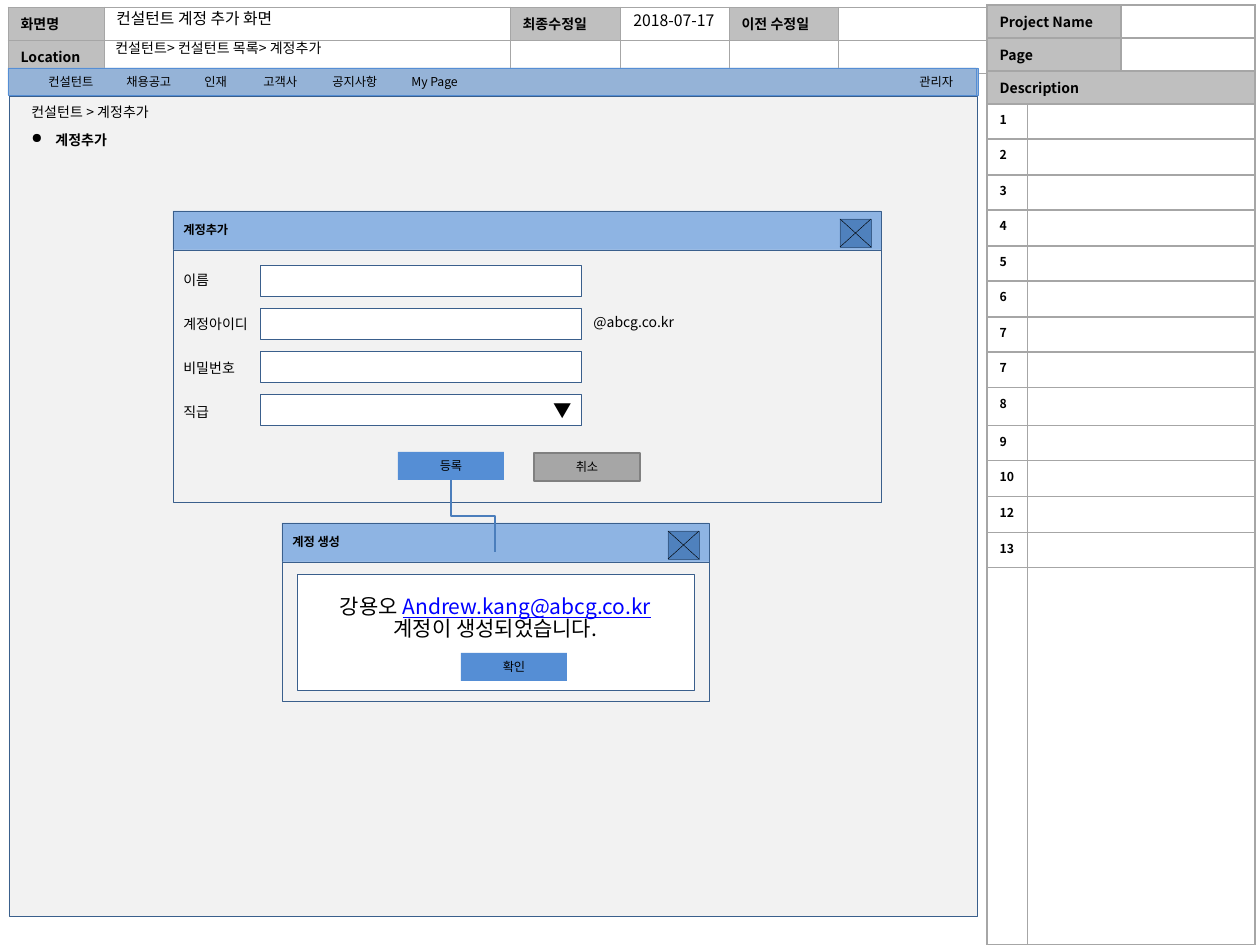
from dataclasses import dataclass

from lxml.etree import SubElement as Sub
from pptx import Presentation
from pptx.dml.color import RGBColor as RGB
from pptx.enum.shapes import MSO_CONNECTOR as LINK, MSO_SHAPE as SHAPE
from pptx.enum.text import MSO_ANCHOR as ANCHOR, PP_ALIGN as ALIGN
from pptx.oxml.ns import qn
from pptx.util import Emu, Pt


@dataclass(frozen=True)
class Theme:
    face: str = "Noto Sans CJK KR"
    ink: str = "000000"
    white: str = "FFFFFF"
    grid: str = "A6A6A6"
    head: str = "BFBFBF"
    edge: str = "3A5F8C"
    bar: str = "95B3D7"
    rim: str = "558ED5"
    panel: str = "F2F2F2"
    title: str = "8EB4E3"
    close: str = "4F81BD"
    mute: str = "808080"
    flow: str = "4B7EBC"
    link: str = "0000FF"
    tiny: float = 7
    small: float = 8
    mid: float = 9
    mark: float = 10.5
    big: float = 12
    hair: float = 0.25
    thin: float = 0.5
    line: float = 0.75
    wide: float = 1


T = Theme()


def px(n):
    return Emu(round(n * 914400 / 126))


def style(para, size, bold=False):
    font = para.font
    font.size, font.bold, font.name = Pt(size), bold, T.face
    font.color.rgb = RGB.from_string(T.ink)
    Sub(font._element, qn("a:ea"), typeface=T.face)


def label(page, box, text, size=T.small, bold=False):
    frame = page.shapes.add_textbox(*map(px, box)).text_frame
    frame.word_wrap = True
    para = frame.paragraphs[0]
    para.text = text
    style(para, size, bold)
    return para


def rect(page, box, fill, edge=T.edge, width=T.hair):
    shape = page.shapes.add_shape(SHAPE.RECTANGLE, *map(px, box))
    shape.shadow.inherit = False
    shape.fill.solid()
    shape.fill.fore_color.rgb = RGB.from_string(fill)
    if edge:
        shape.line.color.rgb = RGB.from_string(edge)
        shape.line.width = Pt(width)
    else:
        shape.line.fill.background()
    return shape


def link(page, ends, kind=LINK.STRAIGHT, color=T.ink, width=T.hair):
    line = page.shapes.add_connector(kind, *map(px, ends))
    line.line.color.rgb = RGB.from_string(color)
    line.line.width = Pt(width)
    Sub(line._element.spPr, qn("a:effectLst"))
    return line


def button(page, box, text, fill=T.rim, edge=None):
    shape = rect(page, box, fill, edge, T.line)
    para = shape.text_frame.paragraphs[0]
    para.text, para.alignment = text, ALIGN.CENTER
    style(para, T.tiny)


def paint(cell, fill, text="", size=T.small, **widths):
    """Fill a cell, write its text and draw its borders (L, R, T, B in points)."""
    cell.fill.solid()
    cell.fill.fore_color.rgb = RGB.from_string(fill)
    para = cell.text_frame.paragraphs[0]
    para.text = text
    style(para, size, True)
    if not text:
        para._p.get_or_add_endParaRPr().set("sz", str(int(size * 100)))
    props = cell._tc.get_or_add_tcPr()
    for spot, side in enumerate("LRTB"):
        line = Sub(props, qn("a:ln" + side), w=str(Pt(widths[side])))
        Sub(Sub(line, qn("a:solidFill")), qn("a:srgbClr"), val=T.grid)
        props.insert(spot, line)


def grid(page, left, top, cols, rows):
    box = left, top, sum(cols), sum(rows)
    table = page.shapes.add_table(len(rows), len(cols), *map(px, box)).table
    table.first_row = table.horz_banding = False
    for col, size in zip(table.columns, cols):
        col.width = px(size)
    for row, size in zip(table.rows, rows):
        row.height = px(size)
    return table


def header(page, left, top):
    table = grid(page, left, top, [96, 406, 110, 109, 109, 149], [33, 33])
    heads = {(0, 0): "화면명", (0, 2): "최종수정일", (0, 4): "이전 수정일", (1, 0): "Location"}
    for r in range(2):
        for c in range(6):
            text = heads.get((r, c), "")
            paint(table.cell(r, c), T.head if text else T.white, text,
                  **dict.fromkeys("LRTB", T.thin))
    label(page, (left + 96, top - 4, 387, 32), "컨설턴트 계정 추가 화면", T.mid)
    label(page, (left + 613, top - 2, 118, 32), "2018-07-17", T.mid)
    label(page, (left + 95, top + 26, 326, 30), "컨설턴트> 컨설턴트 목록> 계정추가")


def notes(page, left, top, bottom):
    """Project block and numbered description list down the right side."""
    marks = "1 2 3 4 5 6 7 7 8 9 10 12 13".split() + [""]
    rows = [33] * 3 + [35, 36] * 4 + [38, 35, 36, 36, 35]
    rows.append(bottom - top - sum(rows))
    table = grid(page, left, top, [40, 94, 134], rows)
    full = dict.fromkeys("LRTB", T.wide)
    for r, text in enumerate(["Project Name", "Page", "Description"]):
        last = 2 if text == "Description" else 1
        table.cell(r, 0).merge(table.cell(r, last))
        paint(table.cell(r, 0), T.head, text, **full)
        if last == 1:
            paint(table.cell(r, 2), T.white, **full)
    for r, text in enumerate(marks, 3):
        table.cell(r, 1).merge(table.cell(r, 2))
        paint(table.cell(r, 0), T.white, text, T.tiny, **{**full, "R": T.thin})
        paint(table.cell(r, 1), T.white, size=T.tiny, **{**full, "L": T.thin})


def menu(page, left, top):
    for shift in (2, 0):
        rect(page, (left + shift, top, 968, 27), T.bar, T.rim)
    items = {"컨설턴트": 28, "채용공고": 106, "인재": 184, "고객사": 243,
             "공지사항": 312, "My Page": 391, "관리자": 899}
    for text, x in items.items():
        label(page, (left + x, top, 80, 27), text, T.tiny)


def canvas(page, left, top):
    rect(page, (left, top, 968, 820), T.panel)
    label(page, (left + 10, top + 1, 326, 30), "컨설턴트 > 계정추가")
    para = label(page, (left + 10, top + 29, 155, 30), "계정추가", bold=True)
    props = para._p.get_or_add_pPr()
    props.set("marL", str(px(24)))
    props.set("indent", str(-px(24)))
    bullet = Sub(props, qn("a:buChar"), char="●")
    props.insert(0, bullet)


def dialog(page, left, top, wide, high, title):
    """Title bar with a close box, above an empty panel."""
    rect(page, (left, top, wide, 39), T.title)
    rect(page, (left, top + 39, wide, high - 39), T.panel)
    label(page, (left - 2, top + 5, 194, 28), title, T.tiny, True)
    x, y, w, h = left + wide - 41, top + 8, 31, 28
    rect(page, (x, y, w, h), T.close)
    link(page, (x, y, x + w, y + h))
    link(page, (x + w, y, x, y + h))


def form(page, left, top):
    dialog(page, left, top, 708, 291, "계정추가")
    for i, text in enumerate(["이름", "계정아이디", "비밀번호", "직급"]):
        label(page, (left - 2, top + 54 + 44 * i, 102, 30), text)
        rect(page, (left + 87, top + 54 + 43 * i, 321, 31), T.white)
    label(page, (left + 408, top + 96, 228, 30), "@abcg.co.kr")
    label(page, (left + 368, top + 182, 54, 37), "▼", T.mark)
    button(page, (left + 225, top + 241, 106, 28), "등록")
    button(page, (left + 361, top + 242, 106, 28), "취소", T.grid, T.mute)


def alert(page, left, top):
    dialog(page, left, top, 427, 178, "계정 생성")
    frame = rect(page, (left + 15, top + 51, 397, 116), T.white).text_frame
    frame.word_wrap, frame.vertical_anchor = True, ANCHOR.MIDDLE
    frame.margin_bottom = px(32)
    first, second = frame.paragraphs[0], frame.add_paragraph()
    first.add_run().text = "강용오 "
    mail = first.add_run()
    mail.text = "Andrew.kang@abcg.co.kr"
    second.text = "계정이 생성되었습니다."
    for para in (first, second):
        para.alignment, para.line_spacing = ALIGN.CENTER, 0.85
        style(para, T.big)
    mail.font.color.rgb = RGB.from_string(T.link)
    mail.font.underline = True
    button(page, (left + 179, top + 130, 106, 28), "확인")


def flow(page, x, y, wide, high):
    """Elbow that runs down, across and down: a flat elbow turned a quarter."""
    cx, cy = x + wide / 2, y + high / 2
    ends = cx + high / 2, cy - wide / 2, cx - high / 2, cy + wide / 2
    line = link(page, ends, LINK.ELBOW, T.flow, T.line)
    line._element.spPr.find(qn("a:xfrm")).set("rot", str(270 * 60000))


def main():
    deck = Presentation()
    deck.slide_width, deck.slide_height = px(1260), px(945)
    page = deck.slides.add_slide(deck.slide_layouts[6])
    header(page, 8, 7)
    notes(page, 987, 5, 945)
    canvas(page, 9, 96)
    menu(page, 8, 68)
    form(page, 173, 211)
    alert(page, 282, 523)
    flow(page, 451, 480, 44, 72)
    deck.save("out.pptx")


if __name__ == "__main__":
    main()
